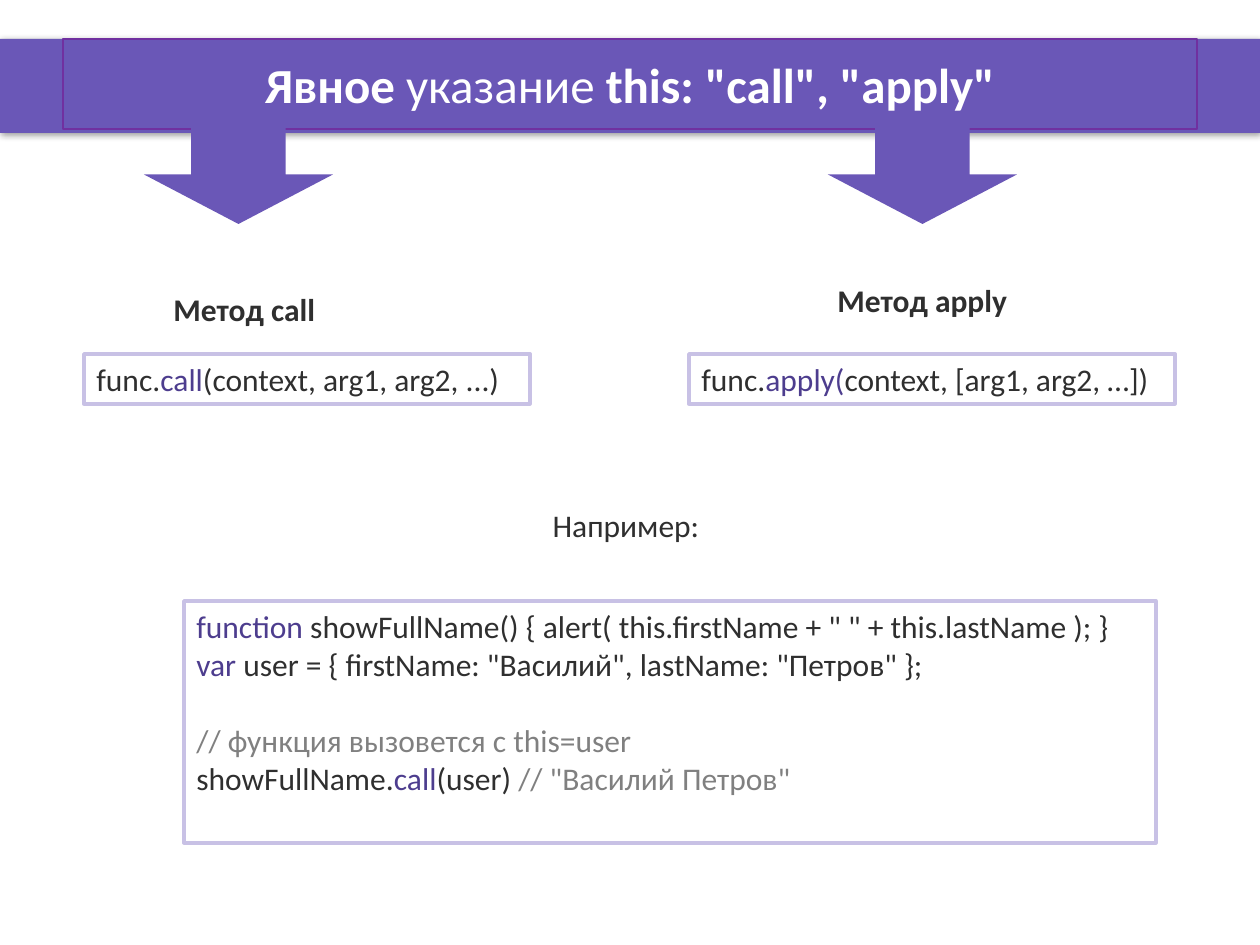
import pptx
import pptx.util
import pptx.dml.color
import pptx.enum.shapes
import pptx.enum.text
import pptx.oxml

PX = 914400 // 126
FONT = "Calibri"
COLORS = {
    "band": "6A57B7", "title_line": "7030A0", "white": "FFFFFF",
    "text": "2F2F2F", "keyword": "4D3D8E", "comment": "808080",
    "frame": "C8C1E5",
}

# Content: a line is a list of (text, colour, bold) runs
TITLE = [[("Явное ", "white", True), ("указание", "white", False),
          (' this: "call", "apply"', "white", True)]]
# Boxes are left, top, width, height in px
BAND = (0, 39, 1260, 94)
TITLE_BOX = (63, 39, 1134, 90)
ARROWS = [(144, 125, 189, 99), (828, 125, 189, 99)]
LABELS = [
    ((161, 284, 400, 50), [[("Метод call", "text", True)]], "LEFT"),
    ((825, 275, 360, 50), [[("Метод apply", "text", True)]], "LEFT"),
    ((51, 500, 1150, 50), [[("Например:", "text", False)]], "CENTER"),
]
CODE_BOXES = [
    ((84, 354, 446, 50), [[
        ("func.", "text", False), ("call", "keyword", False),
        ("(context, arg1, arg2, ...)", "text", False)]]),
    ((689, 354, 486, 50), [[
        ("func.", "text", False), ("apply(", "keyword", False),
        ("context, [arg1, arg2, …])", "text", False)]]),
    ((184, 601, 972, 242), [
        [("function ", "keyword", False),
         ('showFullName() { alert( this.firstName + " " + this.lastName ); }',
          "text", False)],
        [("var ", "keyword", False),
         ('user = { firstName: "Василий", lastName: "Петров" };',
          "text", False)],
        [("// функция вызовется с this=user", "comment", False)],
        [("showFullName.", "text", False), ("call", "keyword", False),
         ("(user) ", "text", False),
         ('// "Василий Петров"', "comment", False)],
    ]),
]
COMMENT_LINE = 2
COMMENT_GAP = 22  # pt, one line of code

SHADOW = (
    '<a:effectLst xmlns:a="http://schemas.openxmlformats.org/drawingml/2006/main">'
    '<a:outerShdw blurRad="50800" dist="12700" dir="5400000" rotWithShape="0">'
    '<a:srgbClr val="000000"><a:alpha val="40000"/></a:srgbClr>'
    '</a:outerShdw></a:effectLst>')


def rgb(name):
    return pptx.dml.color.RGBColor.from_string(COLORS[name])


def add_box(slide, box, fill=None, line=None, width=2, kind="RECTANGLE"):
    shape = slide.shapes.add_shape(
        getattr(pptx.enum.shapes.MSO_SHAPE, kind), *(v * PX for v in box))
    shape.shadow.inherit = False
    if fill:
        shape.fill.solid()
        shape.fill.fore_color.rgb = rgb(fill)
    else:
        shape.fill.background()
    if line:
        shape.line.color.rgb = rgb(line)
        shape.line.width = pptx.util.Pt(width)
    else:
        shape.line.fill.background()
    return shape


def write(shape, lines, size=18, align="LEFT", anchor="TOP"):
    frame = shape.text_frame
    frame.word_wrap = True
    frame.vertical_anchor = getattr(pptx.enum.text.MSO_ANCHOR, anchor)
    for i, line in enumerate(lines):
        paragraph = frame.add_paragraph() if i else frame.paragraphs[0]
        paragraph.alignment = getattr(pptx.enum.text.PP_ALIGN, align)
        for text, color, bold in line:
            run = paragraph.add_run()
            run.text = text
            run.font.name = FONT
            run.font.size = pptx.util.Pt(size)
            run.font.bold = bold
            run.font.color.rgb = rgb(color)


def main():
    deck = pptx.Presentation()
    deck.slide_width, deck.slide_height = 1260 * PX, 945 * PX
    slide = deck.slides.add_slide(deck.slide_layouts[6])

    # Title band with its shadow
    band = add_box(slide, BAND, "band")
    properties = band.element.spPr
    properties.replace(properties[-1], pptx.oxml.parse_xml(SHADOW))
    title = add_box(slide, TITLE_BOX, line="title_line", width=0.75)
    write(title, TITLE, 28, "CENTER", "MIDDLE")

    # Arrows to the two methods
    for box in ARROWS:
        add_box(slide, box, "band", kind="DOWN_ARROW")

    # Labels
    for box, lines, align in LABELS:
        label = slide.shapes.add_textbox(*(v * PX for v in box))
        write(label, lines, align=align)

    # Code frames
    for box, lines in CODE_BOXES:
        code = add_box(slide, box, "white", "frame")
        write(code, lines)
    code.text_frame.paragraphs[COMMENT_LINE].space_before = pptx.util.Pt(COMMENT_GAP)

    deck.save("out.pptx")


if __name__ == "__main__":
    main()
